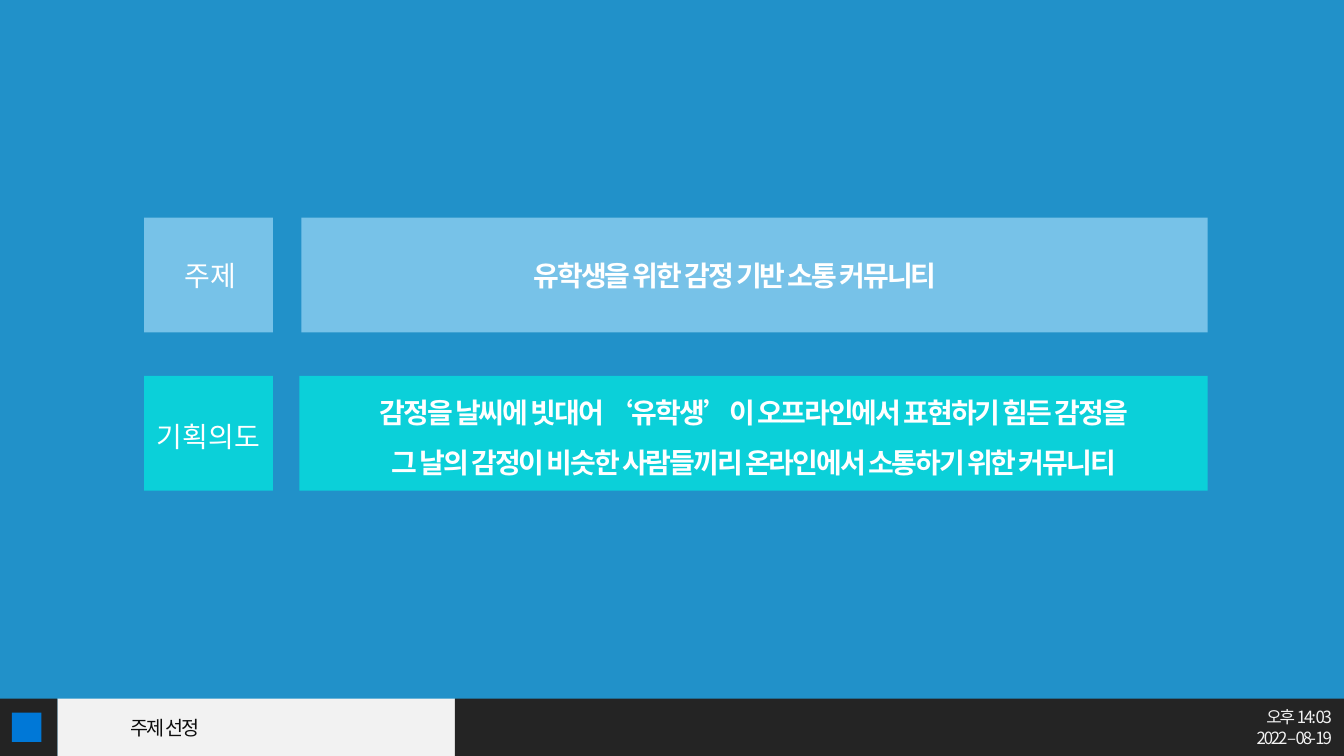
from lxml.etree import SubElement
from pptx import Presentation
from pptx.dml.color import RGBColor
from pptx.enum.shapes import MSO_SHAPE as Preset
from pptx.enum.text import MSO_ANCHOR as Anchor, PP_ALIGN as Align
from pptx.oxml.ns import qn
from pptx.util import Pt

FONT = "Noto Sans CJK KR"
WHITE, LIGHT, DARK = "FFFFFF", "F2F2F2", "242424"
WIDTH, HEIGHT, BAR = 960, 540, 41
BAR_TOP = HEIGHT - BAR
TAB_WIDTH = 284
LABEL_LEFT, LABEL_WIDTH, ROW_HEIGHT = 103, 92, 82
DETAIL_RIGHT = 862.7


def paint(fill, color):
    fill.solid()
    fill.fore_color.rgb = RGBColor.from_string(color)


def place(shape, left, top, width, height):
    shape.left, shape.top = Pt(left), Pt(top)
    shape.width, shape.height = Pt(width), Pt(height)


def add_block(slide, left, top, width, height, color):
    block = slide.shapes.add_shape(
        Preset.RECTANGLE, Pt(left), Pt(top), Pt(width), Pt(height))
    block.shadow.inherit = False
    paint(block.fill, color)
    block.line.fill.background()
    return block


def write(shape, text, size=20, color=WHITE, bold=False, align=Align.CENTER,
          tracking=0, line_spacing=1.0, insets=(0, 0, 0, 0), wrap=False):
    frame = shape.text_frame
    frame.word_wrap = wrap
    frame.vertical_anchor = Anchor.MIDDLE
    (frame.margin_left, frame.margin_top,
     frame.margin_right, frame.margin_bottom) = map(Pt, insets)
    frame.text = text
    for paragraph in frame.paragraphs:
        paragraph.alignment = align
        paragraph.line_spacing = line_spacing
        for run in paragraph.runs:
            font = run.font
            font.name, font.size, font.bold = FONT, Pt(size), bold
            font.color.rgb = RGBColor.from_string(color)
            properties = run._r.get_or_add_rPr()
            properties.set("spc", str(round(tracking * 100)))
            SubElement(properties, qn("a:ea"), typeface=FONT)


def add_row(slide, top, color, label, detail, detail_left,
            label_insets=(0, 0, 0, 0), **detail_format):
    label_tile = add_block(
        slide, LABEL_LEFT, top, LABEL_WIDTH, ROW_HEIGHT, color)
    write(label_tile, label, insets=label_insets)
    detail_tile = add_block(slide, detail_left, top,
                            DETAIL_RIGHT - detail_left, ROW_HEIGHT, color)
    write(detail_tile, detail, bold=True, tracking=-1.5, wrap=True,
          **detail_format)


def add_taskbar(slide):
    add_block(slide, 0, BAR_TOP, BAR, BAR, "232323")
    add_block(slide, 8.5, BAR_TOP + 10, 21, 21, "0078D7")

    title = slide.shapes.title
    place(title, BAR, BAR_TOP, TAB_WIDTH, BAR)
    paint(title.fill, LIGHT)
    write(title, "주제 선정", size=14, color="0D0D0D", align=Align.LEFT,
          tracking=-1.5, insets=(52.5, 0, 0, 0), wrap=True)

    clock_left = BAR + TAB_WIDTH
    clock = add_block(
        slide, clock_left, BAR_TOP, WIDTH - clock_left, BAR, DARK)
    write(clock, "오후 14: 03\n2022 – 08- 19", size=12, color=LIGHT,
          align=Align.RIGHT, tracking=-1.5, insets=(0, 0, 8.5, 0), wrap=True)


def main():
    deck = Presentation()
    deck.slide_width, deck.slide_height = Pt(WIDTH), Pt(HEIGHT)
    slide = deck.slides.add_slide(deck.slide_layouts[5])
    paint(slide.background.fill, "2191C9")

    add_taskbar(slide)
    add_row(slide, 155.5, "77C2E8", "주제",
            "유학생을 위한 감정 기반 소통 커뮤니티", 215.3,
            label_insets=(3, 0, 0, 0), insets=(0, 0, 28, 0))
    add_row(slide, 268.5, "0BD0D9", "기획의도",
            "감정을 날씨에 빗대어 ‘유학생’이 오프라인에서 표현하기 힘든 감정을\n"
            "그 날의 감정이 비슷한 사람들끼리 온라인에서 소통하기 위한 커뮤니티",
            213.8, label_insets=(0, 4, 0, 0), line_spacing=1.5,
            insets=(0, 0, 0, 6))
    deck.save("out.pptx")


if __name__ == "__main__":
    main()
